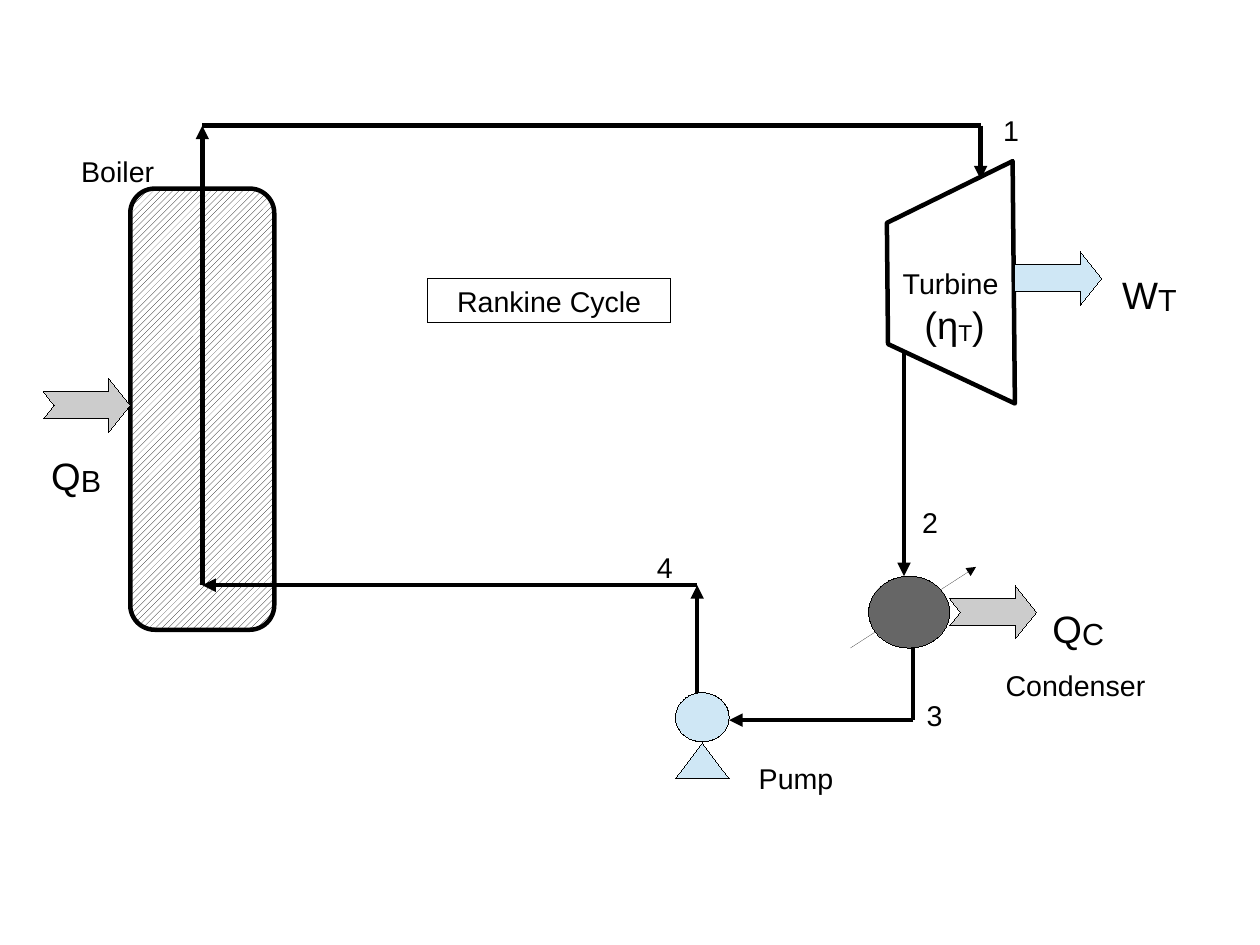
from lxml import etree
from pptx import Presentation
from pptx.dml.color import RGBColor
from pptx.enum.dml import MSO_PATTERN
from pptx.enum.shapes import MSO_CONNECTOR, MSO_SHAPE
from pptx.enum.text import MSO_AUTO_SIZE, PP_ALIGN
from pptx.oxml.ns import qn
from pptx.util import Emu, Inches, Pt

ROUNDED, ELLIPSE = MSO_SHAPE.ROUNDED_RECTANGLE, MSO_SHAPE.OVAL
TRIANGLE, RECTANGLE = MSO_SHAPE.ISOSCELES_TRIANGLE, MSO_SHAPE.RECTANGLE
ARROW, NOTCHED = MSO_SHAPE.RIGHT_ARROW, MSO_SHAPE.NOTCHED_RIGHT_ARROW
STRAIGHT = MSO_CONNECTOR.STRAIGHT
LEFT, CENTER = PP_ALIGN.LEFT, PP_ALIGN.CENTER
HATCH = MSO_PATTERN.WIDE_UPWARD_DIAGONAL

# Content
SLIDE_SIZE = (10080625, 7559675)  # 28 by 21 cm screen format, in EMU
BLACK, WHITE, WORK, HEAT, DARK = "000000", "FFFFFF", "CFE7F5", "CCCCCC", "666666"
HEAVY, HAIRLINE = 2.83, 0.01
SUB = -4000  # baseline shift of subscripts, thousandths of a percent

BOILER = (1.14, 1.65, 1.26, 3.86)
TURBINE = [(8.86, 1.41), (8.88, 3.53), (7.77, 3.01), (7.76, 1.95)]
PUMP = [(ELLIPSE, (5.91, 6.06, 0.47, 0.43)), (TRIANGLE, (5.91, 6.5, 0.47, 0.31))]
CONDENSER = (7.6, 5.04, 0.71, 0.63)
COOLANT = ((7.44, 5.67), (8.54, 4.96))
TITLE = ("Rankine Cycle", (3.74, 2.44, 2.13, 0.38))

# Energy flows: kind, left, top, colour
FLOW_SIZE = (0.76, 0.47)
FLOWS = [(ARROW, 8.88, 2.2, WORK), (NOTCHED, 8.31, 5.12, HEAT), (NOTCHED, 0.38, 3.31, HEAT)]

# Pipes: start, end, arrowhead at the end
PIPES = [
    ((1.77, 1.1), (8.58, 1.1), False),
    ((1.77, 5.12), (1.77, 1.1), True),
    ((8.58, 1.1), (8.58, 1.57), True),
    ((7.91, 3.07), (7.91, 5.04), True),
    ((7.99, 5.67), (7.99, 6.3), False),
    ((7.99, 6.3), (6.38, 6.3), True),
    ((6.1, 6.06), (6.1, 5.12), True),
    ((6.1, 5.12), (1.77, 5.12), True),
]

NAMES = [
    ("Turbine", (7.8, 2.28, 1.04, 0.38)),
    ("Condenser", (8.7, 5.79, 1.42, 0.38)),
    ("Pump", (6.54, 6.61, 0.85, 0.38)),
    ("1", (8.68, 0.94, 0.34, 0.38)),
    ("2", (7.97, 4.37, 0.34, 0.38)),
    ("3", (8.01, 6.06, 0.34, 0.38)),
    ("4", (5.65, 4.76, 0.34, 0.38)),
]
BOILER_NAME = ("Boiler", (0.28, 1.3, 1.5, 0.38))

# Symbols: main text, subscript, closing text, subscript size, place
SYMBOLS = [
    ("W", "T", "", 33.1, (9.72, 2.2, 0.68, 0.52)),
    ("Q", "C", "", 33.1, (9.11, 5.12, 0.65, 0.52)),
    ("Q", "B", "", 33.1, (0.35, 3.78, 0.64, 0.52)),
    ("(η", "T", ")", 24.8, (7.99, 2.58, 0.73, 0.49)),
]

prs = Presentation()
prs.slide_width, prs.slide_height = map(Emu, SLIDE_SIZE)
slide = prs.slides.add_slide(prs.slide_layouts[6])
shapes = slide.shapes


def color(value):
    return RGBColor.from_string(value)


def finish(shape, fill, width):
    shape.shadow.inherit = False
    if fill:
        shape.fill.solid()
        shape.fill.fore_color.rgb = color(fill)
    else:
        shape.fill.background()
    shape.line.color.rgb = color(BLACK)
    shape.line.width = Pt(width)
    return shape


def add_part(kind, place, fill=None, width=HAIRLINE):
    return finish(shapes.add_shape(kind, *map(Inches, place)), fill, width)


def add_pipe(start, end, arrow, width=HEAVY):
    pipe = shapes.add_connector(STRAIGHT, *map(Inches, start + end))
    pipe.line.color.rgb = color(BLACK)
    pipe.line.width = Pt(width)
    if arrow:
        etree.SubElement(pipe.line._ln, qn("a:tailEnd"), type="triangle")
    etree.SubElement(pipe._element.spPr, qn("a:effectLst"))


def add_text(text, place=None, box=None, size=18, align=LEFT, wrap=False,
             sub="", sub_size=None, closing=""):
    box = box or shapes.add_textbox(*map(Inches, place))
    frame = box.text_frame
    frame.word_wrap = wrap
    frame.auto_size = MSO_AUTO_SIZE.SHAPE_TO_FIT_TEXT
    paragraph = frame.paragraphs[0]
    paragraph.alignment = align
    for part, points, shift in ((text, size, 0), (sub, sub_size, SUB), (closing, size, 0)):
        if not part:
            continue
        run = paragraph.add_run()
        run.text = part
        run.font.name = "Arial"
        run.font.size = Pt(points)
        run.font.color.rgb = color(BLACK)
        if shift:
            run._r.get_or_add_rPr().set("baseline", str(shift))


# Boiler
boiler = add_part(ROUNDED, BOILER, WHITE, HEAVY)
boiler.adjustments[0] = 0.17
boiler.fill.patterned()
boiler.fill.pattern = HATCH
boiler.fill.fore_color.rgb = color(BLACK)
boiler.fill.back_color.rgb = color(WHITE)

# Turbine
corners = [(Inches(x), Inches(y)) for x, y in TURBINE]
outline = shapes.build_freeform(*corners[0])
outline.add_line_segments(corners[1:], close=True)
finish(outline.convert_to_shape(), WHITE, HEAVY)

# Pump and condenser
for kind, place in PUMP:
    add_part(kind, place, WORK)
add_pipe(*COOLANT, True, HAIRLINE)
add_part(ELLIPSE, CONDENSER, DARK)

# Energy flows
for kind, left, top, fill in FLOWS:
    flow = add_part(kind, (left, top) + FLOW_SIZE, fill)
    flow.adjustments[0] = 0.5
    flow.adjustments[1] = 0.4

# Pipes
for start, end, arrow in PIPES:
    add_pipe(start, end, arrow)

# Labels
for name, place in NAMES:
    add_text(name, place)
add_text(*BOILER_NAME, align=CENTER, wrap=True)
title, title_place = TITLE
add_text(title, box=add_part(RECTANGLE, title_place), align=CENTER, wrap=True)
for symbol, sub, closing, sub_size, place in SYMBOLS:
    add_text(symbol, place, size=24, sub=sub, sub_size=sub_size, closing=closing)

prs.save("out.pptx")
